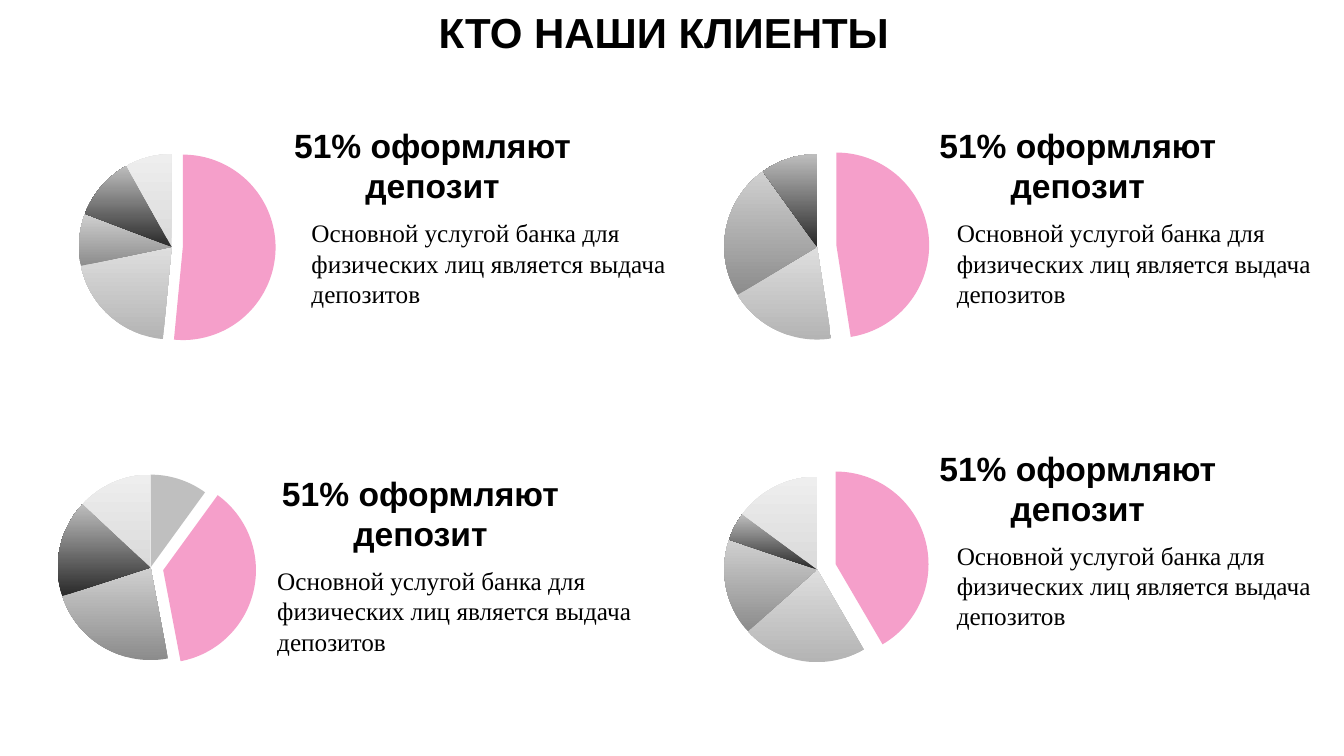
from pptx import Presentation
from pptx import util as u
from pptx.chart.data import CategoryChartData
from pptx.dml.color import RGBColor
from pptx.enum import chart as ch, text
from pptx.oxml import parse_xml
from pptx.oxml.ns import nsdecls, qn

# Content
TITLE = "КТО НАШИ КЛИЕНТЫ"
HEADING = "51% оформляют депозит"
BODY = "Основной услугой банка для физических лиц является выдача депозитов"
PINK, SILVER, BLACK = "F59FCA", "BFBFBF", "000000"
GREYS = [("B4B4B4", "DEDEDE"), ("8C8C8C", "D0D0D0"),
         ("292929", "BEBEBE"), ("DADADA", "EEEEEE")]
LEAD_FIRST = [PINK] + GREYS
LEAD_SECOND = [SILVER, PINK] + GREYS[1:]

# Each panel: grid column and row, values, slice fills, explosion of the pink
# slice in percent, then (x, y) shifts of the pie, heading and body
ON_GRID = [(0, 0)] * 3
PANELS = [
    (0, 0, [51, 20, 9, 11, 8], LEAD_FIRST, 12, ON_GRID),
    (1, 0, [48, 19, 24, 10], LEAD_FIRST, 21, ON_GRID),
    (1, 1, [42, 22, 17, 5, 15], LEAD_FIRST, 21, ON_GRID),
    (0, 1, [10, 37, 23, 17, 13], LEAD_SECOND, 14,
     [(-0.21, -0.02), (-0.12, 0.25), (-0.34, 0.25)]),
]

# Grid, in inches
LEFT, TOP, COL_STEP, ROW_STEP = 0.55, 1.2, 6.4, 3.2
PIE_SIZE = (2.33, 2.55)
HEADING_AT, HEADING_SIZE = (1.92, -0.02), (3.64, 0.92)
BODY_AT, BODY_SIZE = (2.48, 0.9), (3.64, 1.02)
PLOT = {"x": 0.1, "y": 0.1, "w": 0.79, "h": 0.78}


def rgb(value):
    return RGBColor.from_string(value)


def inches(*values):
    return [u.Inches(v) for v in values]


def add_text(s, at, size, words, points, font="Arial", bold=True):
    tf = s.shapes.add_textbox(*inches(*at, *size)).text_frame
    tf.word_wrap = True
    tf.auto_size = text.MSO_AUTO_SIZE.SHAPE_TO_FIT_TEXT
    tf.vertical_anchor = text.MSO_ANCHOR.MIDDLE
    tf.margin_left = tf.margin_right = tf.margin_top = tf.margin_bottom = u.Inches(0.06)
    tf.text = words
    p = tf.paragraphs[0]
    p.alignment = text.PP_ALIGN.CENTER if bold else text.PP_ALIGN.LEFT
    f = p.runs[0].font
    f.name, f.size, f.bold = font, u.Pt(points), bold
    f.color.rgb = rgb(BLACK)


def fill_slice(point, colour):
    fill = point.format.fill
    if isinstance(colour, str):
        fill.solid()
        fill.fore_color.rgb = rgb(colour)
    else:
        fill.gradient()
        fill.gradient_angle = 90
        for stop, value in zip(fill.gradient_stops, colour):
            stop.color.rgb = rgb(value)
    point.format.line.fill.background()


def add_pie(s, at, values, fills, explosion):
    data = CategoryChartData()
    data.categories = [str(i + 1) for i in range(len(values))]
    data.add_series("Series 1", values)
    chart = s.shapes.add_chart(ch.XL_CHART_TYPE.PIE, *inches(*at, *PIE_SIZE), data).chart
    chart.has_legend = chart.has_title = False
    chart.font.name, chart.font.size = "Arial", u.Pt(10)
    chart.font.color.rgb = rgb(BLACK)
    plot = chart.plots[0]
    plot.vary_by_categories = True
    series = plot.series[0]
    for i, colour in zip(range(len(values)), fills):
        fill_slice(series.points[i], colour)

    # Pull out the pink slice
    lead = series._element.findall(qn("c:dPt"))[fills.index(PINK)]
    lead.find(qn("c:spPr")).addprevious(
        parse_xml(f'<c:explosion {nsdecls("c")} val="{explosion}"/>'))

    # Fix the inner plot area
    area = chart._chartSpace.chart.plotArea
    for old in area.findall(qn("c:layout")):
        area.remove(old)
    modes = '<c:layoutTarget val="inner"/><c:xMode val="edge"/><c:yMode val="edge"/>'
    sides = "".join(f'<c:{k} val="{v}"/>' for k, v in PLOT.items())
    area.insert(0, parse_xml(f'<c:layout {nsdecls("c")}><c:manualLayout>'
                             f'{modes}{sides}</c:manualLayout></c:layout>'))


prs = Presentation()
prs.slide_width, prs.slide_height = inches(13.33, 7.5)
s = prs.slides.add_slide(prs.slide_layouts[6])

# Panels
for col, row, values, fills, explosion, shifts in PANELS:
    x, y = LEFT + col * COL_STEP, TOP + row * ROW_STEP
    pie_at, heading_at, body_at = [
        (x + dx + sx, y + dy + sy)
        for (dx, dy), (sx, sy) in zip([(0, 0), HEADING_AT, BODY_AT], shifts)]
    add_pie(s, pie_at, values, fills, explosion)
    add_text(s, heading_at, HEADING_SIZE, HEADING, 24)
    add_text(s, body_at, BODY_SIZE, BODY, 18, "Times New Roman", False)

# Title
add_text(s, (2.88, 0), (7.41, 0.62), TITLE, 30)

prs.save("out.pptx")
